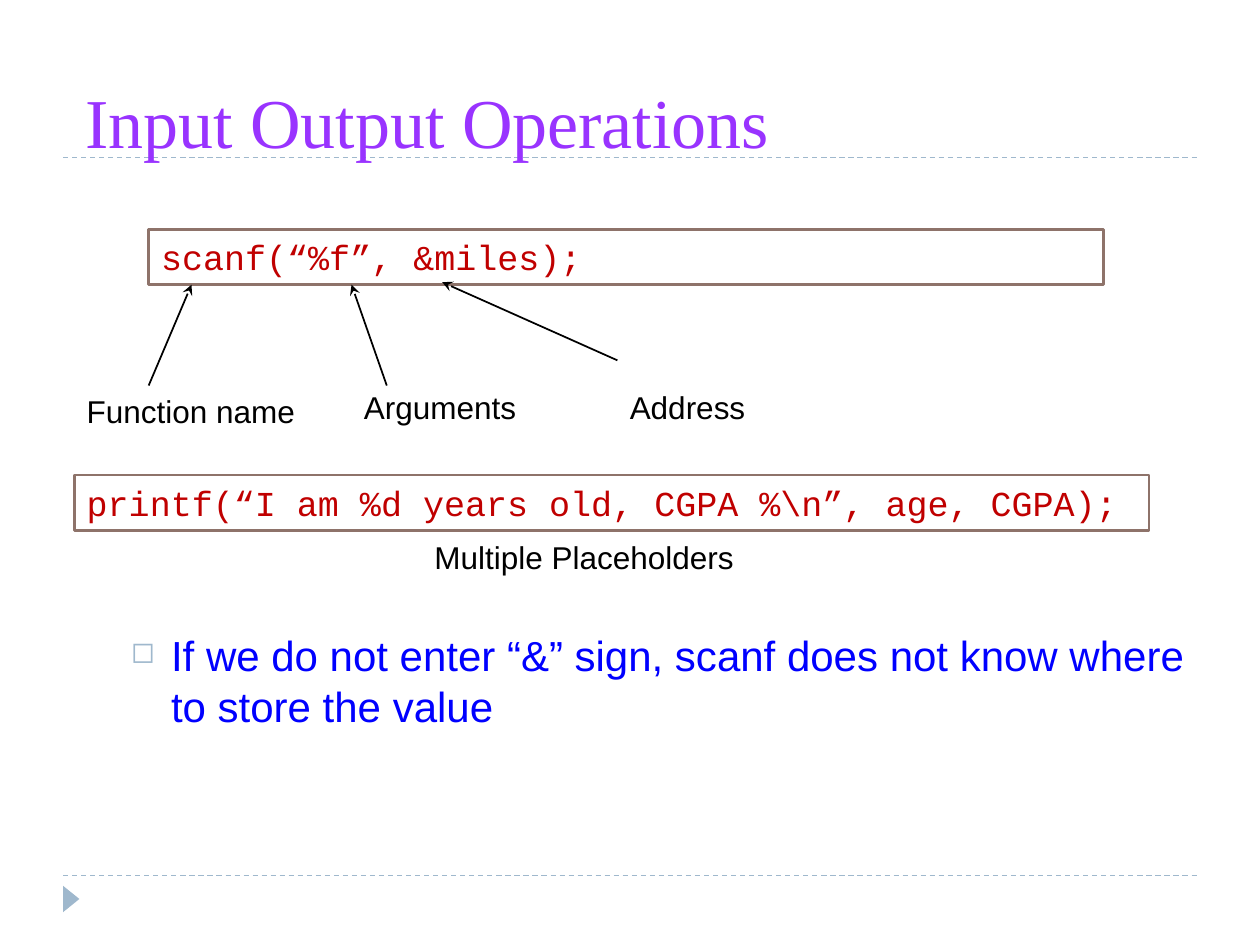
from collections import namedtuple

from lxml import etree
from pptx import Presentation
from pptx.dml.color import RGBColor
from pptx.enum.dml import MSO_LINE_DASH_STYLE as Dash
from pptx.enum.shapes import MSO_CONNECTOR as Connector, MSO_SHAPE as Shape
from pptx.enum.text import MSO_ANCHOR as Anchor, PP_ALIGN as Align
from pptx.oxml.ns import qn
from pptx.util import Inches, Pt

PURPLE = RGBColor(0x99, 0x33, 0xFF)
CODE_RED = RGBColor(0xC0, 0x00, 0x00)
FRAME_BROWN = RGBColor(0x8E, 0x73, 0x6A)
PALE_BLUE = RGBColor(0x9F, 0xB8, 0xCD)
BLUE = RGBColor(0x00, 0x00, 0xFF)
BLACK = RGBColor(0x00, 0x00, 0x00)
WHITE = RGBColor(0xFF, 0xFF, 0xFF)

COLUMN = ROW = Inches(0.1)
COLUMNS, ROWS = 100, 75
MARGIN = 5
CODE_ROWS, LABEL_ROWS = 4.4, 4

TITLE_FONT = {"name": "Times New Roman", "size": Pt(40), "color": PURPLE}
CODE_FONT = {"name": "Courier New", "size": Pt(20), "color": CODE_RED}
LABEL_FONT = {"name": "Arial", "size": Pt(18), "color": BLACK}
NOTE_FONT = {"name": "Arial", "size": Pt(24), "color": BLUE}

Box = namedtuple("Box", "column row columns rows")


def inside(box, column, row, columns, rows):
    return Box(box.column + column, box.row + row, columns, rows)


def to_lengths(box):
    return (round(box.column * COLUMN), round(box.row * ROW),
            round(box.columns * COLUMN), round(box.rows * ROW))


def write_text(shape, text, font_values, anchor=Anchor.TOP):
    frame = shape.text_frame
    frame.word_wrap = True
    frame.vertical_anchor = anchor
    paragraph = frame.paragraphs[0]
    paragraph.alignment = Align.LEFT
    run = paragraph.add_run()
    run.text = text
    for name, value in font_values.items():
        if name == "color":
            run.font.color.rgb = value
        else:
            setattr(run.font, name, value)
    return paragraph


def add_text(slide, box, text, font_values, anchor=Anchor.TOP):
    shape = slide.shapes.add_textbox(*to_lengths(box))
    return write_text(shape, text, font_values, anchor)


def add_code(slide, box, text):
    shape = slide.shapes.add_shape(Shape.RECTANGLE, *to_lengths(box))
    shape.shadow.inherit = False
    shape.fill.solid()
    shape.fill.fore_color.rgb = WHITE
    shape.line.color.rgb = FRAME_BROWN
    shape.line.width = Pt(1.5)
    write_text(shape, text, CODE_FONT)


def add_line(slide, start, end, color, width):
    points = [round(value * COLUMN) for value in (*start, *end)]
    line = slide.shapes.add_connector(Connector.STRAIGHT, *points)
    line.line.color.rgb = color
    line.line.width = Pt(width)
    etree.SubElement(line._element.spPr, qn("a:effectLst"))
    return line


def add_arrow(slide, start, end):
    arrow = add_line(slide, start, end, BLACK, 1)
    etree.SubElement(arrow.line._get_or_add_ln(), qn("a:tailEnd"), type="stealth")


def add_rule(slide, row):
    rule = add_line(slide, (MARGIN, row), (COLUMNS - MARGIN, row), PALE_BLUE, 0.75)
    rule.line.dash_style = Dash.DASH


def add_title(slide, box):
    add_rule(slide, 12.5)
    add_text(slide, box, "Input Output Operations", TITLE_FONT, Anchor.BOTTOM)


def add_scanf_diagram(slide, box):
    add_code(slide, inside(box, 5.9, 0, 75.8, CODE_ROWS), "scanf(“%f”, &miles);")
    callouts = [
        ("Function name", (0, 12.4), 18.7, (5.9, 12.4), (9.3, 4.4)),
        ("Arguments", (22, 12.1), 14.2, (24.8, 12.4), (22, 4.4)),
        ("Address", (43.1, 12.1), 11.3, (43.1, 10.4), (29.2, 4.2)),
    ]
    for text, corner, columns, start, end in callouts:
        add_text(slide, inside(box, *corner, columns, LABEL_ROWS), text, LABEL_FONT)
        add_arrow(slide, *((box.column + x, box.row + y) for x, y in (start, end)))


def add_printf_example(slide, box):
    add_code(slide, inside(box, 0, 0, box.columns, CODE_ROWS),
             "printf(“I am %d years old, CGPA %\\n”, age, CGPA);")
    add_text(slide, inside(box, 27.6, 4.5, 26, LABEL_ROWS),
             "Multiple Placeholders", LABEL_FONT)


def add_note(slide, box):
    paragraph = add_text(
        slide, box,
        "If we do not enter “&” sign, scanf does not know where to store the value",
        NOTE_FONT)
    properties = paragraph._p.get_or_add_pPr()
    properties.set("marL", str(Inches(0.81)))
    properties.set("indent", str(Inches(-0.32)))
    color = etree.SubElement(properties, qn("a:buClr"))
    etree.SubElement(color, qn("a:srgbClr"), val=str(PALE_BLUE))
    etree.SubElement(properties, qn("a:buSzPct"), val="70000")
    etree.SubElement(properties, qn("a:buChar"), char="◻")


def add_footer(slide, box):
    add_rule(slide, box.row)
    marker_box = inside(box, -0.4, 1.2, 2.1, 1.3)
    marker = slide.shapes.add_shape(Shape.ISOSCELES_TRIANGLE, *to_lengths(marker_box))
    marker.rotation = 90
    marker.shadow.inherit = False
    marker.fill.solid()
    marker.fill.fore_color.rgb = PALE_BLUE
    marker.line.fill.background()


def main():
    presentation = Presentation()
    presentation.slide_width = COLUMNS * COLUMN
    presentation.slide_height = ROWS * ROW
    slide = presentation.slides.add_slide(presentation.slide_layouts[6])
    add_footer(slide, Box(MARGIN, 69.5, COLUMNS - 2 * MARGIN, 5.5))
    add_title(slide, Box(5.8, 4.2, 91.7, 9.2))
    add_scanf_diagram(slide, Box(5.9, 18.2, 81.7, 16.4))
    add_printf_example(slide, Box(5.9, 37.7, 85.3, 8.5))
    add_note(slide, Box(4.5, 49.5, 93.7, 22.7))
    presentation.save("out.pptx")


if __name__ == "__main__":
    main()
